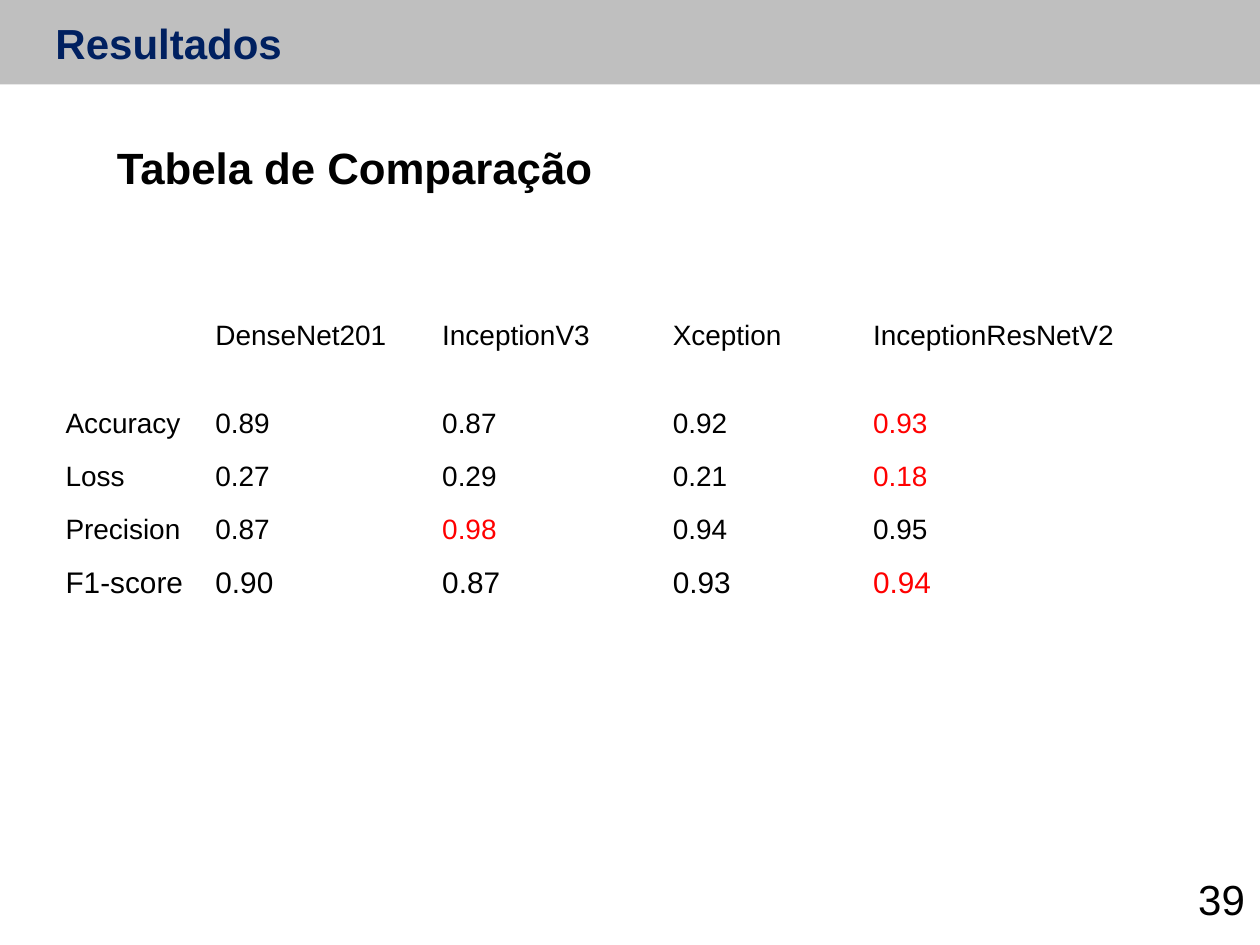
import pptx
import pptx.dml.color
import pptx.enum.shapes
import pptx.enum.text
import pptx.util
from pptx.util import Inches

GRAY = pptx.dml.color.RGBColor(0xBF, 0xBF, 0xBF)
NAVY = pptx.dml.color.RGBColor(0x00, 0x20, 0x60)
BLACK = pptx.dml.color.RGBColor(0x00, 0x00, 0x00)
RED = pptx.dml.color.RGBColor(0xFF, 0x00, 0x00)
ALIGN = pptx.enum.text.PP_ALIGN


def set_values(target, values):
    for name, value in values.items():
        setattr(target, name, value)


def write_text(frame, text, size, color, bold=False, paragraph_format=None):
    para = frame.paragraphs[0]
    set_values(para, paragraph_format or {"alignment": ALIGN.LEFT})
    span = para.add_run()
    span.text = text
    set_values(span.font, {"name": "Arial", "size": pptx.util.Pt(size), "bold": bold})
    span.font.color.rgb = color


deck = pptx.Presentation()
set_values(deck, {"slide_width": Inches(10), "slide_height": Inches(7.5)})
page = deck.slides.add_slide(deck.slide_layouts[5])

title = page.shapes.title
header = page.shapes.add_shape(
    pptx.enum.shapes.MSO_SHAPE.RECTANGLE, Inches(0), Inches(0), Inches(10), Inches(0.67)
)
header.shadow.inherit = False
header.fill.solid()
header.fill.fore_color.rgb = GRAY
header.line.fill.background()
title.element.addprevious(header.element)

subtitle = page.shapes.add_textbox(0, 0, 0, 0)
page_number = page.shapes.add_textbox(0, 0, 0, 0)

spaced = {"line_spacing": 1.2, "space_after": pptx.util.Pt(1.2)}
justified = {"alignment": ALIGN.JUSTIFY}
texts = [
    (title, (0.42, 0.05, 4.58, 0.5), (0.02, 0.01), True,
     ("Resultados", 24, NAVY, True, justified | spaced)),
    (subtitle, (0.83, 1.07, 8.99, 0.52), (0.1, 0.05), True,
     ("Tabela de Comparação", 25, BLACK, True, justified)),
    (page_number, (9.49, 6.84, 0.43, 0.5), (0.02, 0.01), False,
     ("39", 24, BLACK, False, {"alignment": ALIGN.LEFT} | spaced)),
]
for box, place, (side, edge), wrap, content in texts:
    set_values(box, dict(zip(("left", "top", "width", "height"), map(Inches, place))))
    set_values(box.text_frame, {
        "margin_left": Inches(side),
        "margin_right": Inches(side),
        "margin_top": Inches(edge),
        "margin_bottom": Inches(edge),
        "word_wrap": wrap,
        "vertical_anchor": pptx.enum.text.MSO_ANCHOR.TOP,
        "auto_size": pptx.enum.text.MSO_AUTO_SIZE.SHAPE_TO_FIT_TEXT,
    })
    write_text(box.text_frame, *content)

results = [
    ("", "DenseNet201", "InceptionV3", "Xception", "InceptionResNetV2"),
    ("Accuracy", "0.89", "0.87", "0.92", "0.93"),
    ("Loss", "0.27", "0.29", "0.21", "0.18"),
    ("Precision", "0.87", "0.98", "0.94", "0.95"),
    ("F1-score", "0.90", "0.87", "0.93", "0.94"),
]
best_cells = {(1, 4), (2, 4), (3, 2), (4, 4)}
column_widths = [1.19, 1.8, 1.83, 1.59, 2.23]
row_heights = [0.7] + [0.42] * 4

table = page.shapes.add_table(
    len(results), len(column_widths), Inches(0.42), Inches(2.49),
    Inches(sum(column_widths)), Inches(sum(row_heights)),
).table
set_values(table, {"first_row": False, "horz_banding": False})
for column, width in zip(table.columns, column_widths):
    column.width = Inches(width)
for row, height in zip(table.rows, row_heights):
    row.height = Inches(height)

for row_index, values in enumerate(results):
    size = 17 if values[0] == "F1-score" else 16
    for column_index, value in enumerate(values):
        cell = table.cell(row_index, column_index)
        cell.fill.background()
        if value:
            color = RED if (row_index, column_index) in best_cells else BLACK
            write_text(cell.text_frame, value, size, color)

deck.save("out.pptx")
